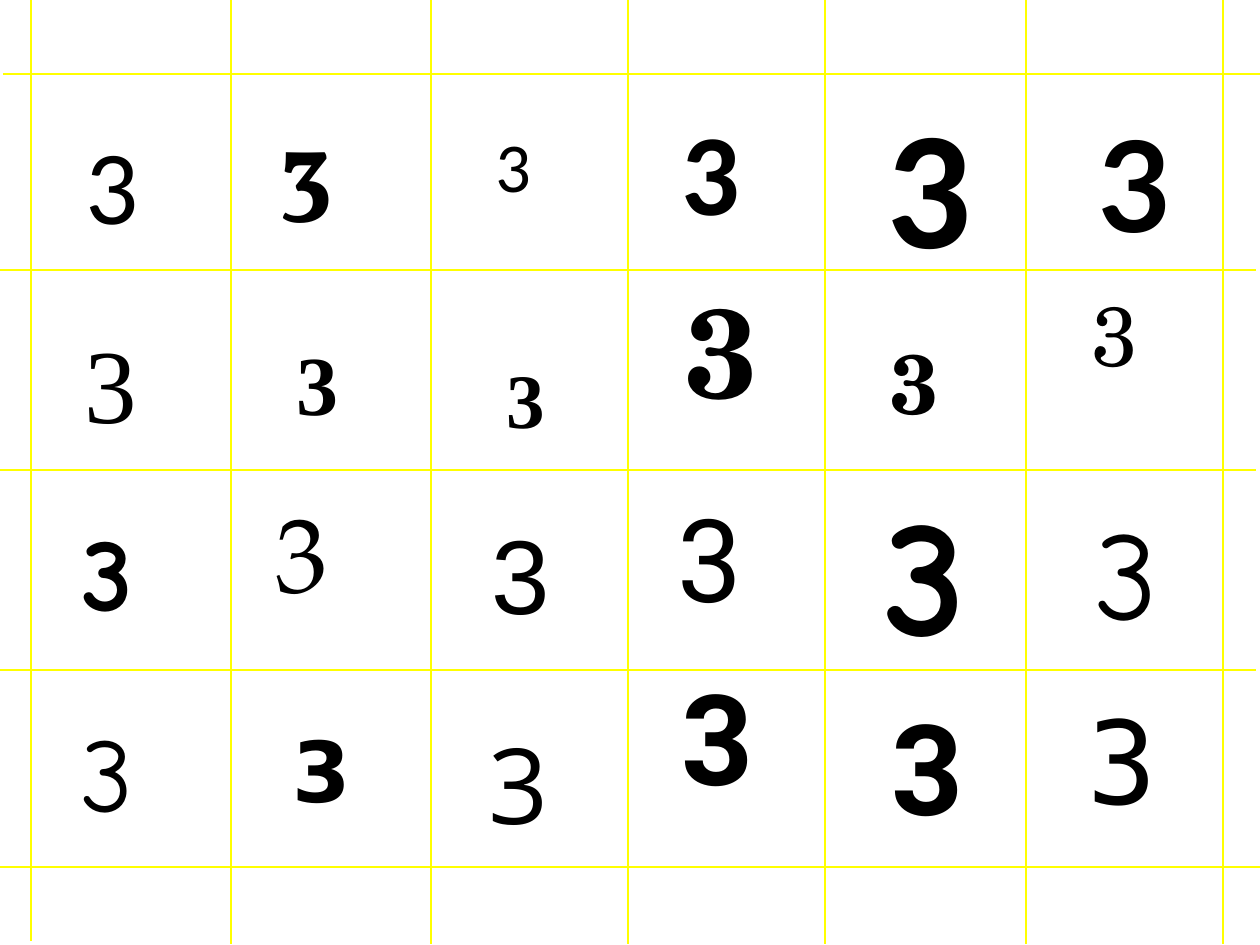
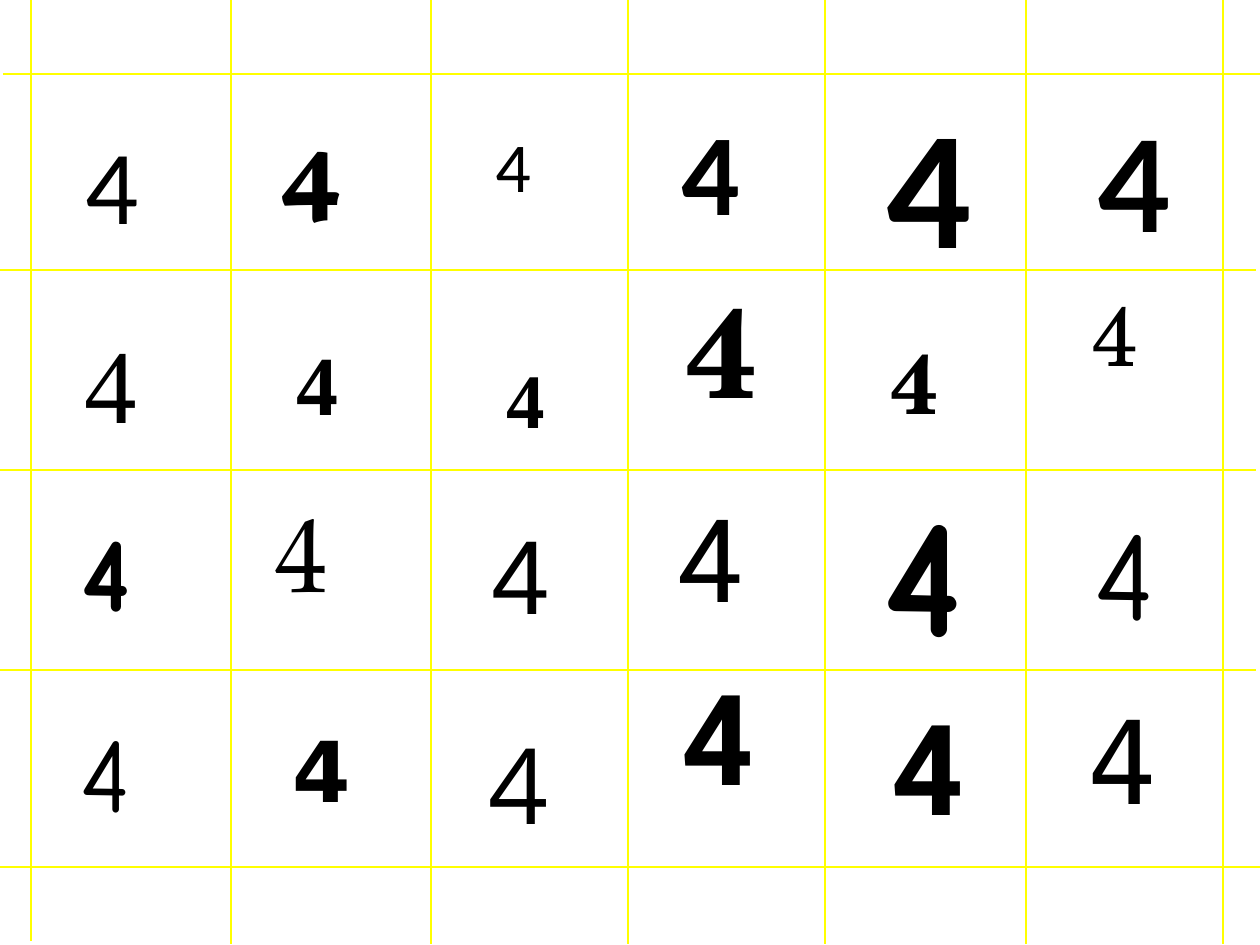
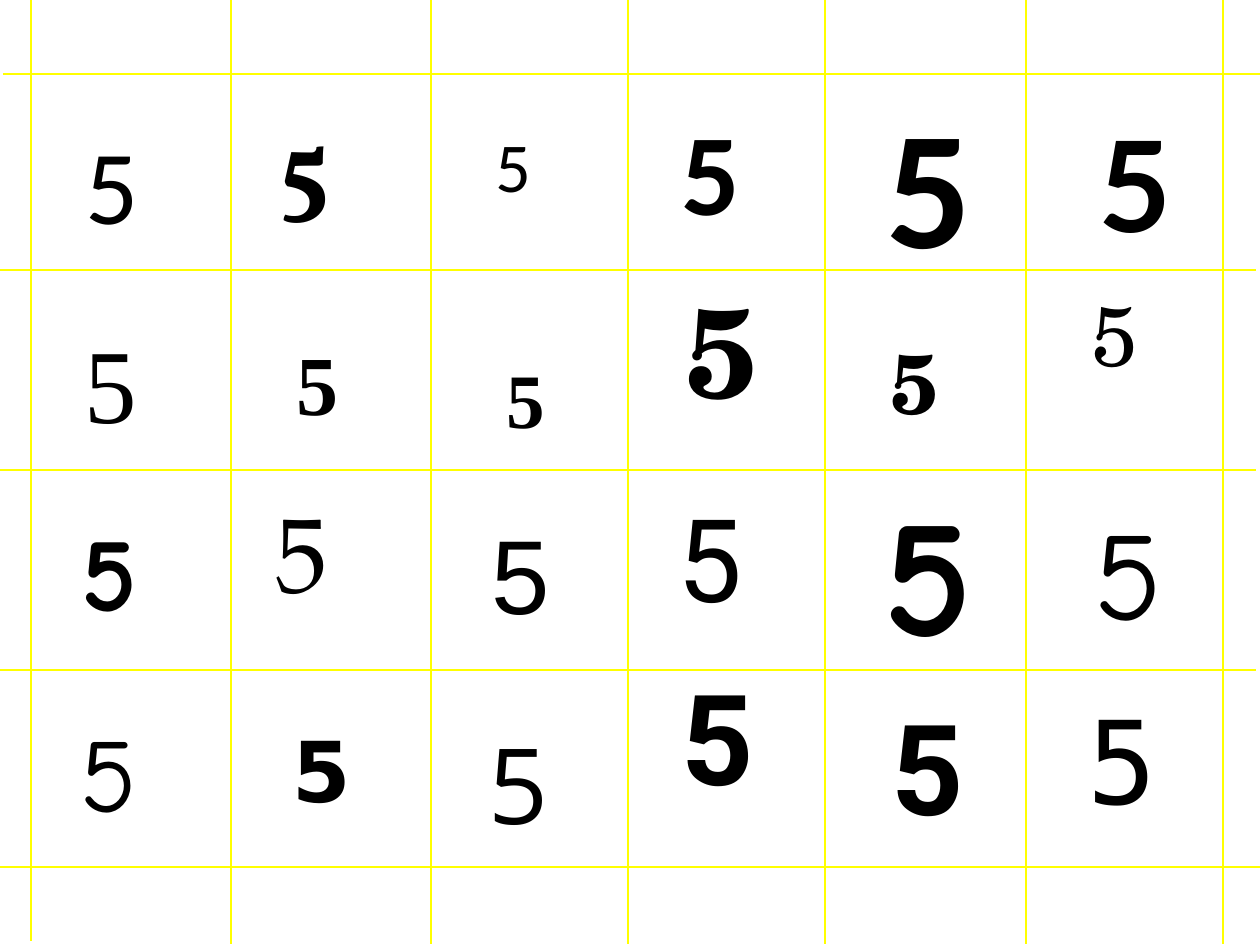
"""Build three sheets of digit specimens set in many typefaces."""
from collections import namedtuple
from dataclasses import dataclass

from lxml import etree
from pptx import Presentation
from pptx import util as u
from pptx.dml.color import RGBColor
from pptx.enum import shapes, text
from pptx.oxml.ns import qn

WIDTH, HEIGHT = 1260, 945
SCALE = 914400 // 126
BLANK_LAYOUT = 6


@dataclass(frozen=True)
class Theme:
    """Colours, type sizes and line weights shared by every sheet."""
    ink: RGBColor = RGBColor(0, 0, 0)
    guide: RGBColor = RGBColor(255, 255, 0)
    guide_weight: float = 1
    tiny: int = 40
    small: int = 44
    medium: int = 48
    large: int = 60
    larger: int = 66
    huge: int = 72
    giant: int = 96
    line_height: float = 1.21
    box_width: int = 100
    wide_box: int = 117


THEME = Theme()
Box = namedtuple("Box", "left top width height")
Specimen = namedtuple("Specimen", "dx dy size font bold width",
                      defaults=(False, THEME.box_width))

COLUMN_EDGES = [31, 231, 431, 628, 825, 1026, 1223]
ROW_EDGES = [74, 270, 470, 670, 867]
COLUMN_STARTS = [-4] + [-1] * 6
ROW_STARTS = [3, -4, -4, -4, 0]

SPECIMEN_ROWS = [
    [Specimen(42, 39, THEME.large, "Calibri"),
     Specimen(36, 20, THEME.large, "Vollkorn", True),
     Specimen(52, 42, THEME.tiny, "Calibri"),
     Specimen(41, 20, THEME.larger, "Calibri", True),
     Specimen(49, 0, THEME.giant, "Calibri", True),
     Specimen(60, 26, THEME.huge, "Lato", True)],
    [Specimen(41, 42, THEME.large, "Times New Roman"),
     Specimen(53, 55, THEME.medium, "Times New Roman", True),
     Specimen(63, 75, THEME.small, "Times New Roman", True),
     Specimen(45, -4, THEME.huge, "TeX Gyre Schola", True),
     Specimen(53, 54, THEME.medium, "TeX Gyre Schola", True),
     Specimen(53, 6, THEME.medium, "TeX Gyre Schola")],
    [Specimen(38, 30, THEME.large, "Comic Neue", True),
     Specimen(32, 11, THEME.large, "TeX Gyre Pagella"),
     Specimen(48, 33, THEME.large, "Arial"),
     Specimen(37, 11, THEME.larger, "Roboto"),
     Specimen(46, -8, THEME.giant, "Comic Neue", True),
     Specimen(56, 18, THEME.huge, "Comic Neue")],
    [Specimen(37, 31, THEME.large, "Comic Neue"),
     Specimen(49, 42, THEME.medium, "DejaVu Sans", True),
     Specimen(45, 43, THEME.large, "Open Sans", width=THEME.wide_box),
     Specimen(41, -17, THEME.huge, "Roboto", True),
     Specimen(54, 13, THEME.huge, "Roboto", True),
     Specimen(49, 13, THEME.larger, "DejaVu Sans Mono")],
]


def emu(pixels):
    """Turn pixels into EMU."""
    return u.Emu(round(pixels * SCALE))


def add_guide(page, x1, y1, x2, y2):
    """Draw one straight guide line without a shadow."""
    guide = page.shapes.add_connector(
        shapes.MSO_CONNECTOR.STRAIGHT, emu(x1), emu(y1), emu(x2), emu(y2))
    guide.line.color.rgb = THEME.guide
    guide.line.width = u.Pt(THEME.guide_weight)
    etree.SubElement(guide._element.spPr, qn("a:effectLst"))


def add_guides(page, box):
    """Rule the columns and rows of the sheet across the given box."""
    for x, start in zip(COLUMN_EDGES, COLUMN_STARTS):
        top = box.top + start
        add_guide(page, box.left + x, top, box.left + x, top + box.height)
    for y, start in zip(ROW_EDGES, ROW_STARTS):
        left = box.left + start
        add_guide(page, left, box.top + y, left + box.width, box.top + y)


def add_specimen(page, cell, digit, specimen):
    """Set one digit in its typeface, offset from the corner of its cell."""
    inset = 12.6
    height = specimen.size * THEME.line_height * u.Pt(1) / SCALE + inset
    box = page.shapes.add_textbox(
        emu(cell.left + specimen.dx), emu(cell.top + specimen.dy),
        emu(specimen.width), emu(height))
    frame = box.text_frame
    frame.text = digit
    frame.word_wrap = True
    frame.auto_size = text.MSO_AUTO_SIZE.SHAPE_TO_FIT_TEXT
    font = frame.paragraphs[0].runs[0].font
    font.name = specimen.font
    font.size = u.Pt(specimen.size)
    font.bold = specimen.bold
    font.color.rgb = THEME.ink


def add_specimen_row(page, box, digit, row):
    """Fill the cells of one row with its specimens."""
    top, bottom = ROW_EDGES[row:row + 2]
    columns = zip(COLUMN_EDGES, COLUMN_EDGES[1:])
    for (left, right), specimen in zip(columns, SPECIMEN_ROWS[row]):
        cell = Box(box.left + left, box.top + top, right - left, bottom - top)
        add_specimen(page, cell, digit, specimen)


def add_sheet(deck, box, digit):
    """Add a slide that shows one digit in every typeface."""
    page = deck.slides.add_slide(deck.slide_layouts[BLANK_LAYOUT])
    for row in (0, 1):
        add_specimen_row(page, box, digit, row)
    add_guides(page, box)
    for row in (2, 3):
        add_specimen_row(page, box, digit, row)


def main():
    """Build and save the deck."""
    deck = Presentation()
    deck.slide_width, deck.slide_height = emu(WIDTH), emu(HEIGHT)
    for digit in "345":
        add_sheet(deck, Box(0, 0, WIDTH, HEIGHT), digit)
    deck.save("out.pptx")


main()
